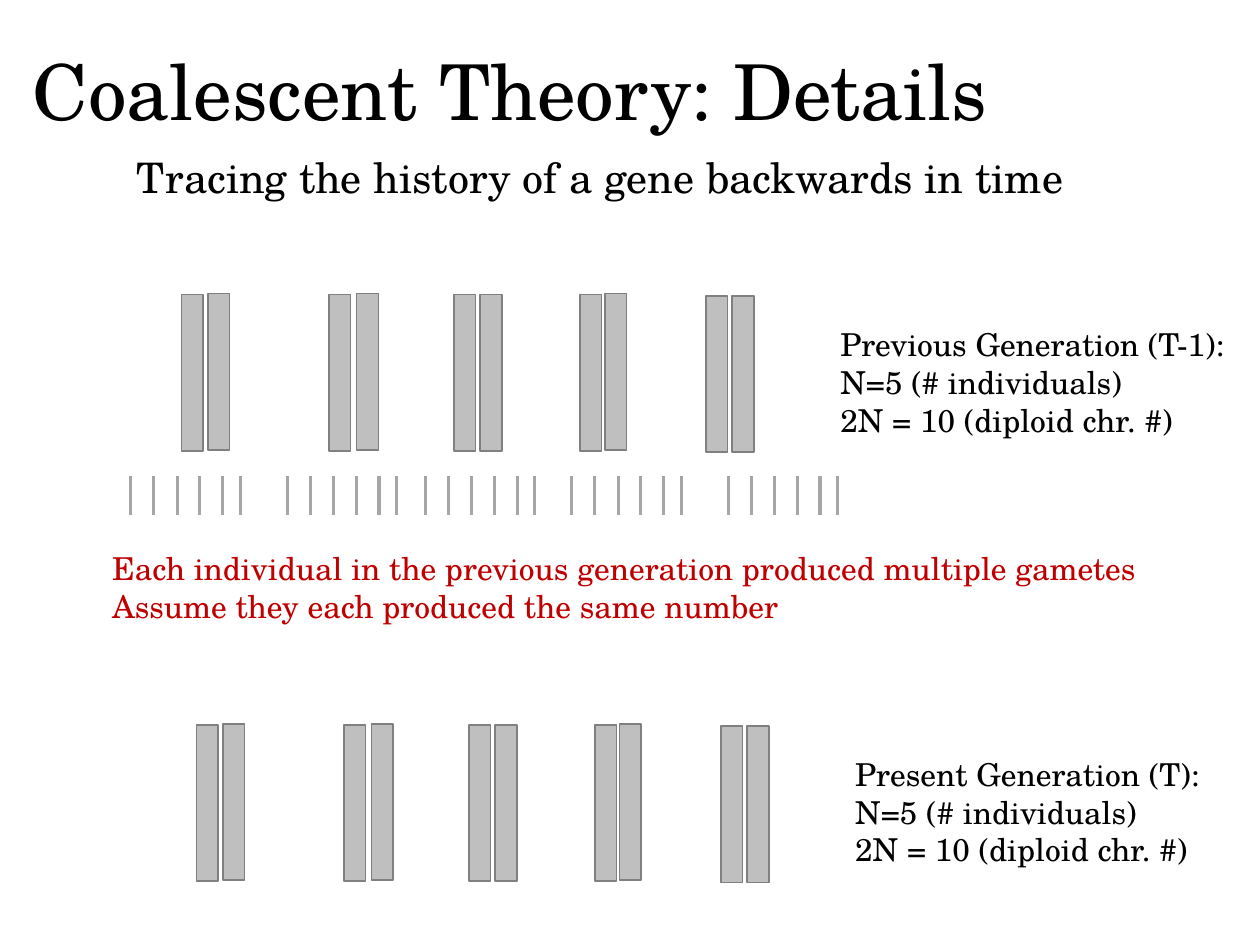
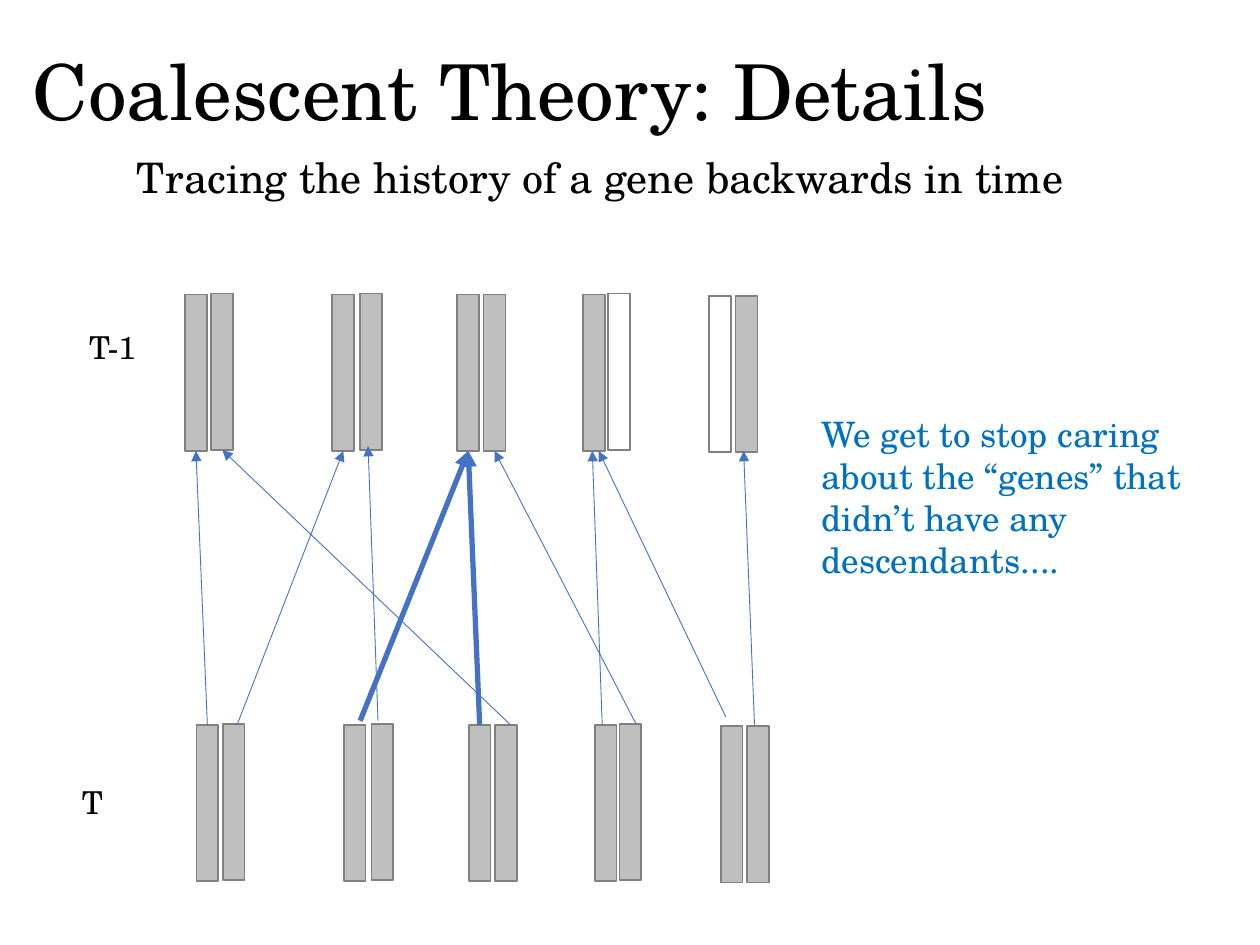
"""Build two slides that trace genes back one generation."""
import pptx
import pptx.util
import pptx.dml.color
import pptx.enum.shapes
import pptx.enum.text
import pptx.oxml.ns
import pptx.oxml.xmlchemy

Cm = pptx.util.Cm
Pt = pptx.util.Pt
hue = pptx.dml.color.RGBColor.from_string
node = pptx.oxml.xmlchemy.OxmlElement
anchor = pptx.enum.text.MSO_ANCHOR
fit = pptx.enum.text.MSO_AUTO_SIZE

FONT = "TeX Gyre Schola"
BLACK, WHITE, RED, BLUE = "000000", "FFFFFF", "C00000", "0070C0"
GREY, EDGE, TICK, ARROW = "BFBFBF", "808080", "A6A6A6", "4472C4"


def write(slide, text, left, top, width, height, size=18, color=BLACK, wrap=False):
    box = slide.shapes.add_textbox(Cm(left), Cm(top), Cm(width), Cm(height))
    frame = box.text_frame
    frame.text = text
    frame.word_wrap = wrap
    frame.auto_size = fit.SHAPE_TO_FIT_TEXT
    for para in frame.paragraphs:
        para.font.name = FONT
        para.font.size = Pt(size)
        para.font.color.rgb = hue(color)
    return frame


def draw(slide, start, end, color, weight):
    kind = pptx.enum.shapes.MSO_CONNECTOR.STRAIGHT
    line = slide.shapes.add_connector(kind, *[Cm(n) for n in start + end])
    line.line.color.rgb = hue(color)
    line.line.width = Pt(weight)
    line._element.spPr.append(node("a:effectLst"))
    return line


deck = pptx.Presentation()
deck.slide_width, deck.slide_height = Cm(25.4), Cm(19.05)

bars = [
    (0, 0), (0.53, -0.02),
    (2.97, 0), (3.53, -0.02),
    (5.49, 0), (6.02, 0),
    (8.03, 0), (8.53, -0.02),
    (10.57, 0.03), (11.1, 0.03),
]
wide, tall = 0.44, 3.15
past, now = 5.94, 14.61

slides, rows = [], []
for edge, childless in [(3.66, ()), (3.73, (7, 8))]:
    slide = deck.slides.add_slide(deck.slide_layouts[6])
    title = write(slide, "Coalescent Theory: Details", 0.41, 0.41, 21.9, 3.02, 44, wrap=True)
    title.auto_size = fit.NONE
    title.vertical_anchor = anchor.MIDDLE
    title.paragraphs[0].line_spacing = 0.9
    write(slide, "Tracing the history of a gene backwards in time", 2.51, 2.92, 19.35, 1.28, 24)

    pair = []
    for left, top, blank in [(edge, past, childless), (3.96, now, ())]:
        row = []
        for i, (shift, drop) in enumerate(bars):
            bar = slide.shapes.add_shape(
                pptx.enum.shapes.MSO_SHAPE.RECTANGLE,
                Cm(left + shift), Cm(top + drop), Cm(wide), Cm(tall))
            bar.shadow.inherit = False
            bar.fill.solid()
            bar.fill.fore_color.rgb = hue(WHITE if i in blank else GREY)
            bar.line.color.rgb = hue(EDGE)
            bar.line.width = Pt(1)
            row.append(bar)
        pair.append(row)
    slides.append(slide)
    rows.append(pair)

first, second = slides

counts = "\nN=5 (# individuals)\n2N = 10 (diploid chr. #)"
write(first, "Previous Generation (T-1):" + counts, 16.69, 6.43, 8.38, 2.57)
write(first, "Present Generation (T):" + counts, 16.99, 15.09, 7.52, 2.57)

for left in [2.64, 5.79, 8.58, 11.53, 14.68]:
    for shift in [0, 0.46, 0.93, 1.39, 1.85, 2.2]:
        draw(first, (left + shift, 9.6), (left + shift, 10.39), TICK, 1.75)

write(first, "Each individual in the previous generation produced multiple gametes\n"
      "Assume they each produced the same number", 2.01, 10.95, 21.87, 1.8, color=RED, wrap=True)

write(second, "T-1", 1.55, 6.48, 1.5, 1.02)
write(second, "T", 1.4, 15.67, 0.94, 1.02)
write(second, "We get to stop caring about the “genes” that didn’t have any descendants....",
      16.31, 8.2, 8.33, 3.68, 20, BLUE, True)

parents, kids = rows[1]
thin, thick = 0.5, 3
links = [
    ((4.18, now), (3.95, 9.09), thin, 0, 0),
    ((4.78, now), (6.93, 9.09), thin, None, 2),
    ((7.26, 14.53), (9.44, 9.09), thick, None, 4),
    ((7.62, 14.53), (7.42, 8.99), thin, None, None),
    ((9.65, now), (9.42, 9.09), thick, 4, 4),
    ((10.29, now), (4.5, 9.07), thin, None, 1),
    ((12.14, now), (11.94, 9.09), thin, None, None),
    ((12.83, now), (9.98, 9.09), thin, None, 5),
    ((14.63, 14.45), (12.07, 9.09), thin, None, None),
    ((15.21, now), (14.99, 9.09), thin, None, None),
]
for start, end, weight, kid, parent in links:
    line = draw(second, start, end, ARROW, weight)
    if kid is not None:
        line.begin_connect(kids[kid], 0)
    if parent is not None:
        line.end_connect(parents[parent], 2)
    tip = node("a:tailEnd")
    tip.set("type", "triangle")
    line._element.spPr.find(pptx.oxml.ns.qn("a:ln")).append(tip)

deck.save("out.pptx")
